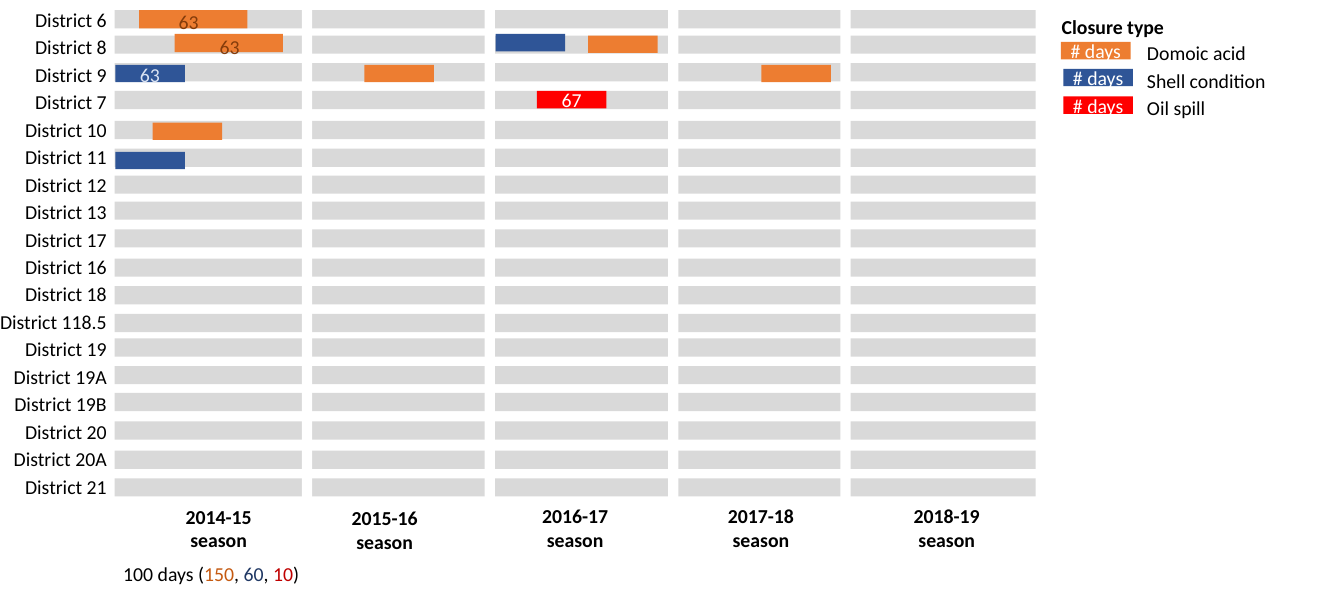
from dataclasses import dataclass

from pptx import Presentation
from pptx.dml.color import RGBColor
from pptx.enum.shapes import MSO_SHAPE
from pptx.enum.text import MSO_ANCHOR, MSO_AUTO_SIZE, PP_ALIGN
from pptx.util import Cm, Pt


@dataclass(frozen=True)
class Theme:
    """Colours, font and type sizes of the slide."""
    font: str = "Calibri"
    size: int = 18
    pitch: int = 25
    black: str = "000000"
    white: str = "FFFFFF"
    track: str = "D9D9D9"
    acid: str = "ED7D31"
    shell: str = "2F5597"
    oil: str = "FF0000"
    brown: str = "843C0B"
    pale: str = "DAE3F3"
    rust: str = "C55A11"
    navy: str = "203864"
    red: str = "C00000"


THEME = Theme()

ROWS = [("6", 0.13), ("8", 0.45), ("9", 0.8), ("7", 1.15), ("10", 1.53),
        ("11", 1.88), ("12", 2.22), ("13", 2.55), ("17", 2.9), ("16", 3.27),
        ("18", 3.62), ("118.5", 3.97), ("19", 4.28), ("19A", 4.63),
        ("19B", 4.97), ("20", 5.33), ("20A", 5.7), ("21", 6.05)]
YEARS = [("2014-15", 2.24, 6.33), ("2015-16", 4.34, 6.35),
         ("2016-17", 6.75, 6.32), ("2017-18", 9.1, 6.32),
         ("2018-19", 11.45, 6.32)]
GAPS = [(3.82, 0.07), (6.13, 0.04), (8.45, 0), (10.63, 0)]
LONG = [(1.76, 0.13), (2.21, 0.43)]
SHORT = {
    THEME.acid: [(1.93, 1.55), (4.61, 0.82), (7.44, 0.45), (9.63, 0.82)],
    THEME.shell: [(1.46, 0.82), (1.46, 1.92), (6.27, 0.43)],
}
KEYS = [("Domoic acid", THEME.acid, 13.42, 0.53),
        ("Shell condition", THEME.shell, 13.45, 0.87),
        ("Oil spill", THEME.oil, 13.45, 1.22)]
COUNTS = [(2.16, 0.03, THEME.brown), (2.68, 0.34, THEME.brown),
          (1.67, 0.7, THEME.pale)]


def scale(*sides):
    """Turn inches into lengths."""
    return [Cm(side * 2.54) for side in sides]


def add_run(para, text, color, bold=False):
    """Add one styled run to a paragraph."""
    run = para.add_run()
    run.text = text
    font = run.font
    font.name, font.size, font.bold = THEME.font, Pt(THEME.size), bold
    font.color.rgb = RGBColor.from_string(color)


def add_bar(slide, box, fill, text=""):
    """Draw a flat bar, with a centred white label if given."""
    bar = slide.shapes.add_shape(MSO_SHAPE.RECTANGLE, *scale(*box))
    bar.shadow.inherit = False
    bar.fill.solid()
    bar.fill.fore_color.rgb = RGBColor.from_string(fill)
    bar.line.fill.background()
    if text:
        frame = bar.text_frame
        frame.vertical_anchor = MSO_ANCHOR.MIDDLE
        para = frame.paragraphs[0]
        para.alignment = PP_ALIGN.CENTER
        add_run(para, text, THEME.white)


def add_text(slide, box, lines, align=PP_ALIGN.LEFT, pitch=None, bold=False):
    """Write lines of text, each a list of (words, colour) runs."""
    frame = slide.shapes.add_textbox(*scale(*box)).text_frame
    frame.word_wrap = False
    frame.auto_size = MSO_AUTO_SIZE.SHAPE_TO_FIT_TEXT
    for num, runs in enumerate(lines):
        para = frame.add_paragraph() if num else frame.paragraphs[0]
        para.alignment = align
        if pitch:
            para.line_spacing = Pt(pitch)
        for words, color in runs:
            add_run(para, words, color, bold)


def plain(*lines):
    """Make each line a single black run."""
    return [[(line, THEME.black)] for line in lines]


def add_grid(slide):
    """Draw the district rows, split into seasons."""
    names = plain(*(f"District {name}" for name, _ in ROWS))
    add_text(slide, (-0.11, 0, 1.56, 6.39), names, PP_ALIGN.RIGHT, THEME.pitch)
    for _, top in ROWS:
        add_bar(slide, (1.45, top, 11.65, 0.23), THEME.track)
    for year, left, top in YEARS:
        add_text(slide, (left, top, 1.05, 0.71), plain(year, "season"),
                 PP_ALIGN.CENTER, bold=True)
    for left, top in GAPS:
        add_bar(slide, (left, top, 0.13, 6.69), THEME.white)


def add_spans(slide):
    """Draw the closures and their day counts."""
    for left, top in LONG:
        add_bar(slide, (left, top, 1.37, 0.23), THEME.acid)
    for color, spots in SHORT.items():
        for left, top in spots:
            add_bar(slide, (left, top, 0.88, 0.22), color)
    add_bar(slide, (6.79, 1.15, 0.88, 0.22), THEME.oil, "67")
    for left, top, color in COUNTS:
        add_text(slide, (left, top, 0.46, 0.43), [[("63", color)]],
                 pitch=THEME.pitch)


def add_legend(slide):
    """Draw the key to the closure types."""
    for _, color, left, top in KEYS:
        add_bar(slide, (left, top, 0.88, 0.22), color, "# days")
    add_text(slide, (14.41, 0.42, 1.74, 1.13),
             plain(*(key[0] for key in KEYS)), pitch=THEME.pitch)
    add_text(slide, (13.33, 0.09, 1.51, 0.43), plain("Closure type"),
             pitch=THEME.pitch, bold=True)


def add_total(slide):
    """Write the season total, split by closure type."""
    runs = [("100 days (", THEME.black), ("150", THEME.rust),
            (", ", THEME.black), ("60", THEME.navy),
            (", ", THEME.black), ("10", THEME.red), (")", THEME.black)]
    add_text(slide, (1.46, 7.06, 2.45, 0.4), [runs])


def main():
    """Build and save the slide."""
    deck = Presentation()
    deck.slide_width, deck.slide_height = scale(17, 7.5)
    slide = deck.slides.add_slide(deck.slide_layouts[6])
    add_grid(slide)
    add_spans(slide)
    add_legend(slide)
    add_total(slide)
    deck.save("out.pptx")


main()
